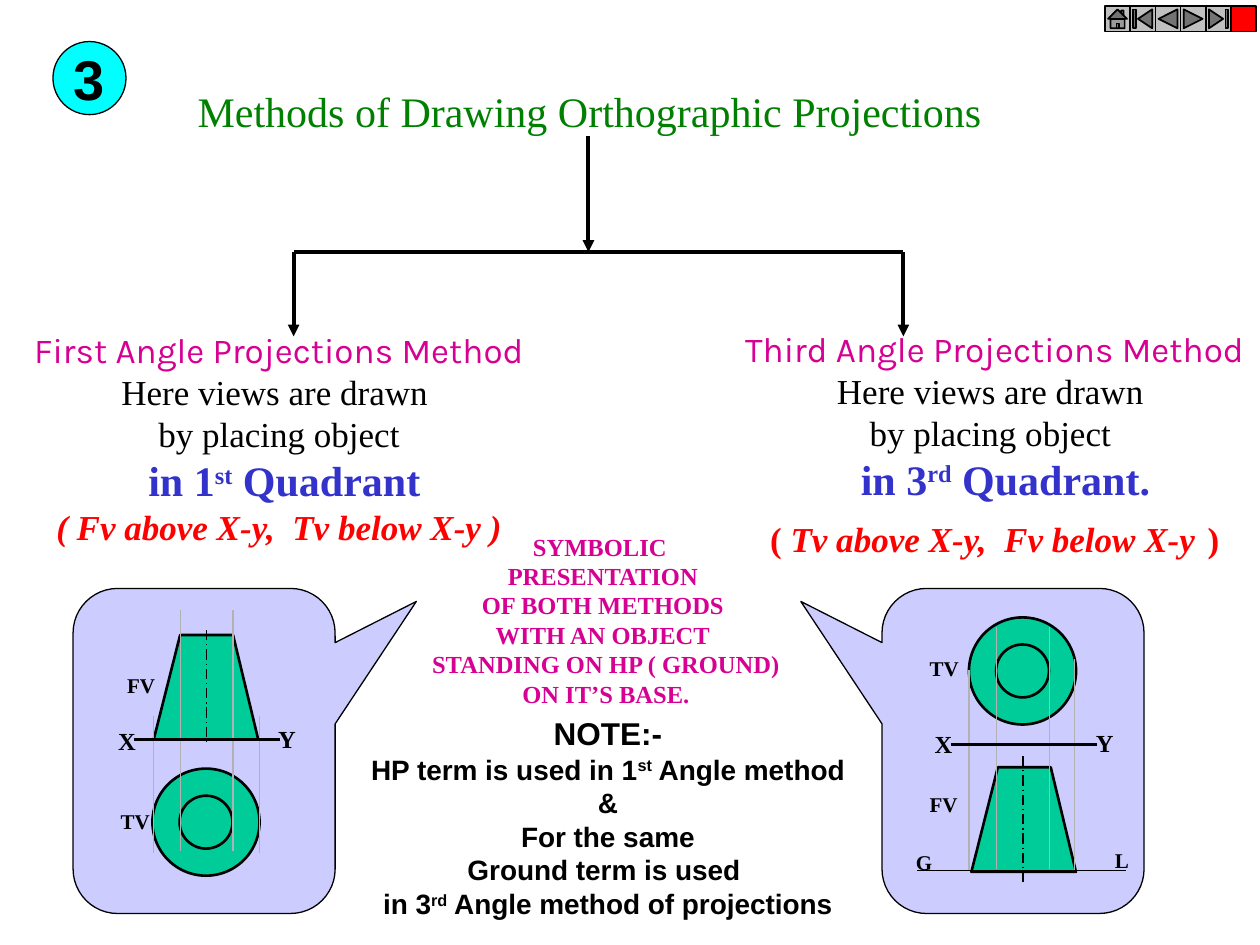
from lxml import etree
from pptx import Presentation
from pptx.dml.color import RGBColor
from pptx.enum import dml, shapes, text
from pptx.oxml import ns
from pptx.util import Inches, Pt

COLORS = {"black": "000000", "green": "008000", "pink": "D60093", "blue": "3333CC",
          "red": "FF0000", "lilac": "CCCCFF", "teal": "00CC99", "grey": "B2B2B2",
          "cyan": "00FFFF", "button": "C0C0C0"}
SHAPE = shapes.MSO_SHAPE
CENTER, LEFT = text.PP_ALIGN.CENTER, text.PP_ALIGN.LEFT


def style(size, color="black", name="Times New Roman", **extra):
    return {"size": Pt(size), "color": color, "name": name, **extra}


TITLE = style(24, "green")
METHOD = style(20, "pink", "Karla")
BODY = style(20)
QUADRANT = style(24, "blue", bold=True)
VIEWS = style(20, "red", bold=True)
VIEWS_ITALIC = {**VIEWS, "italic": True}
SYMBOLIC = style(14, "pink", bold=True)
NOTE_HEAD = style(18, name="Arial", bold=True)
NOTE = style(16, name="Arial", bold=True)
NUMBER = style(32, name="Arial", bold=True)


def rgb(name):
    return RGBColor.from_string(COLORS[name])


def raised(fmt):
    return {**fmt, "raised": True}


def write(tf, paras, align):
    """Each paragraph is a list of (text, format) runs."""
    tf.word_wrap = False
    for i, runs in enumerate(paras):
        p = tf.paragraphs[0] if i == 0 else tf.add_paragraph()
        p.alignment = align
        for words, fmt in runs:
            r = p.add_run()
            r.text = words
            for key, value in fmt.items():
                if key == "color":
                    r.font.color.rgb = rgb(value)
                elif key == "raised":
                    r.font._element.set("baseline", "30000")
                else:
                    setattr(r.font, key, value)


def add_text(s, box, paras, align=CENTER):
    tb = s.shapes.add_textbox(*map(Inches, box))
    write(tb.text_frame, paras, align)
    tb.text_frame.auto_size = text.MSO_AUTO_SIZE.SHAPE_TO_FIT_TEXT
    return tb


def paint(sp, fill, width):
    sp.shadow.inherit = False
    sp.fill.solid()
    sp.fill.fore_color.rgb = rgb(fill)
    sp.line.color.rgb = rgb("black")
    sp.line.width = Pt(width)
    return sp


def add_shape(s, kind, box, fill, width=0.75):
    return paint(s.shapes.add_shape(kind, *map(Inches, box)), fill, width)


def add_line(s, x1, y1, x2, y2, color="black", width=0.75, arrow=False, dash=None):
    c = s.shapes.add_connector(shapes.MSO_CONNECTOR.STRAIGHT,
                               *map(Inches, (x1, y1, x2, y2)))
    c.line.color.rgb = rgb(color)
    c.line.width = Pt(width)
    if dash:
        c.line.dash_style = dash
    if arrow:
        etree.SubElement(c.line._get_or_add_ln(), ns.qn("a:tailEnd"), type="triangle")
    etree.SubElement(c._element.spPr, ns.qn("a:effectLst"))


def add_tree(s, left, top, width):
    stem, y = left + 2.34, top + 0.92
    add_line(s, left, y, left + width, y, width=2.25)
    add_line(s, stem, top, stem, y, width=2.25, arrow=True)
    for x in (left, left + width):
        add_line(s, x, y, x, y + 0.67, width=2.25, arrow=True)


def add_symbol(s, left, top, view):
    """Callout holding the two views of a cone frustum."""
    callout = add_shape(s, SHAPE.ROUNDED_RECTANGULAR_CALLOUT,
                        (left, top, 2.08, 2.58), "lilac")
    for i, value in enumerate((view["pointer"], -0.46, 0.17)):
        callout.adjustments[i] = value

    # Front view
    fx, fy = left + view["front"][0], top + view["front"][1]
    fb = s.shapes.build_freeform(Inches(fx), Inches(fy + 0.83))
    fb.add_line_segments([(Inches(fx + dx), Inches(fy + dy)) for dx, dy in
                          ((0.21, 0), (0.63, 0), (0.83, 0.83))])
    paint(fb.convert_to_shape(), "teal", 1.5)

    # Top view
    tx, ty = left + view["rings"][0], top + view["rings"][1]
    for inset, size in ((0, 0.85), (0.215, 0.42)):
        add_shape(s, SHAPE.OVAL, (tx + inset, ty + inset, size, size), "teal", 1.5)

    # Projectors, reference lines and axis
    for x, y1, y2 in view["projectors"]:
        add_line(s, left + x, top + y1, left + x, top + y2, "grey")
    for x1, x2, y, width in view["levels"]:
        add_line(s, left + x1, top + y, left + x2, top + y, width=width)
    x, y1, y2 = view["axis"]
    add_line(s, left + x, top + y1, left + x, top + y2,
             dash=dml.MSO_LINE.LONG_DASH_DOT)

    for label, x, y, width, size in view["labels"]:
        add_text(s, (left + x, top + y, width, 0.34 if size == 14 else 0.3),
                 [[(label, style(size, bold=True))]], LEFT)


def add_buttons(s, left, top, size):
    kinds = ("HOME", "BEGINNING", "BACK_OR_PREVIOUS", "FORWARD_OR_NEXT", "END", "CUSTOM")
    for i, kind in enumerate(kinds):
        add_shape(s, getattr(SHAPE, "ACTION_BUTTON_" + kind),
                  (left + i * size, top, size, size),
                  "red" if kind == "CUSTOM" else "button", 1)


FIRST = {
    "pointer": 0.81, "front": (0.64, 0.37), "rings": (0.63, 1.43),
    "projectors": [(1.48, 1.01, 2.1), (0.64, 1.01, 2.1),
                   (1.27, 0.17, 2.08), (0.85, 0.17, 2.08)],
    "levels": [(0.48, 1.64, 1.2, 1.5)], "axis": (1.06, 0.33, 1.25),
    "labels": [("FV", 0.33, 0.62, 0.42, 12), ("TV", 0.28, 1.7, 0.43, 12),
               ("X", 0.26, 1.04, 0.34, 14), ("Y", 1.53, 1.03, 0.34, 14)],
}
THIRD = {
    "pointer": -0.81, "front": (0.71, 1.42), "rings": (0.69, 0.23),
    "projectors": [(1.53, 0.56, 2.24), (0.69, 0.65, 2.24),
                   (1.33, 0.31, 2.23), (0.91, 0.31, 2.23)],
    "levels": [(0.55, 1.71, 1.24, 1.5), (0.28, 1.94, 2.24, 0.75)],
    "axis": (1.12, 1.33, 2.33),
    "labels": [("TV", 0.28, 0.48, 0.43, 12), ("FV", 0.28, 1.56, 0.42, 12),
               ("X", 0.32, 1.07, 0.34, 14), ("Y", 1.6, 1.06, 0.34, 14),
               ("G", 0.17, 2.02, 0.33, 12), ("L", 1.75, 2.01, 0.31, 12)],
}


def main():
    prs = Presentation()
    prs.slide_width, prs.slide_height = Inches(10), Inches(7.5)
    s = prs.slides.add_slide(prs.slide_layouts[6])

    # Title and tree
    add_tree(s, 2.33, 1.08, 4.84)
    add_text(s, (1.47, 0.63, 6.42, 0.5),
             [[("Methods of Drawing Orthographic Projections", TITLE)]], LEFT)
    badge = add_shape(s, SHAPE.OVAL, (0.42, 0.33, 0.58, 0.58), "cyan")
    badge.text_frame.vertical_anchor = text.MSO_ANCHOR.MIDDLE
    write(badge.text_frame, [[("3", NUMBER)]], CENTER)

    # The two methods
    add_text(s, (0.11, 2.56, 4.21, 1.84), [
        [("First Angle Projections Method", METHOD)],
        [("Here views are drawn ", BODY)],
        [("by placing object", BODY)],
        [(" in 1", QUADRANT), ("st", raised(QUADRANT)), (" Quadrant", QUADRANT)],
        [("( Fv above X-y,  Tv below X-y )", VIEWS_ITALIC)]])
    third = add_text(s, (5.73, 2.55, 4.33, 1.97), [
        [("Third Angle Projections Method", METHOD)],
        [("Here views are drawn ", BODY)],
        [("by placing object ", BODY)],
        [("in 3", QUADRANT), ("rd", raised(QUADRANT)), (" Quadrant.", QUADRANT)],
        [("( ", VIEWS), ("Tv above X-y,  Fv below X-y", VIEWS_ITALIC),
         (" ", {**VIEWS, "size": Pt(28)}), (")", VIEWS)]])
    quadrant = third.text_frame.paragraphs[3]
    quadrant._p.get_or_add_pPr().set("marL", str(Inches(0.17)))

    # Symbols and notes
    add_symbol(s, 0.58, 4.67, FIRST)
    add_symbol(s, 7, 4.67, THIRD)
    add_text(s, (3.27, 4.17, 3.03, 1.5), [[(line, SYMBOLIC)] for line in (
        "SYMBOLIC ", "PRESENTATION", "OF BOTH METHODS", "WITH AN OBJECT",
        " STANDING ON HP ( GROUND)", " ON IT’S BASE.")])
    add_text(s, (2.84, 5.62, 3.97, 1.74), [
        [("NOTE:-", NOTE_HEAD)],
        [("HP term is used in 1", NOTE), ("st", raised(NOTE)), (" Angle method", NOTE)],
        [("&", NOTE)],
        [("For the same", NOTE)],
        [("Ground term is used ", NOTE)],
        [("in 3", NOTE), ("rd", raised(NOTE)), (" Angle method of projections", NOTE)]])

    add_buttons(s, 8.77, 0.05, 0.2)
    prs.save("out.pptx")


if __name__ == "__main__":
    main()
